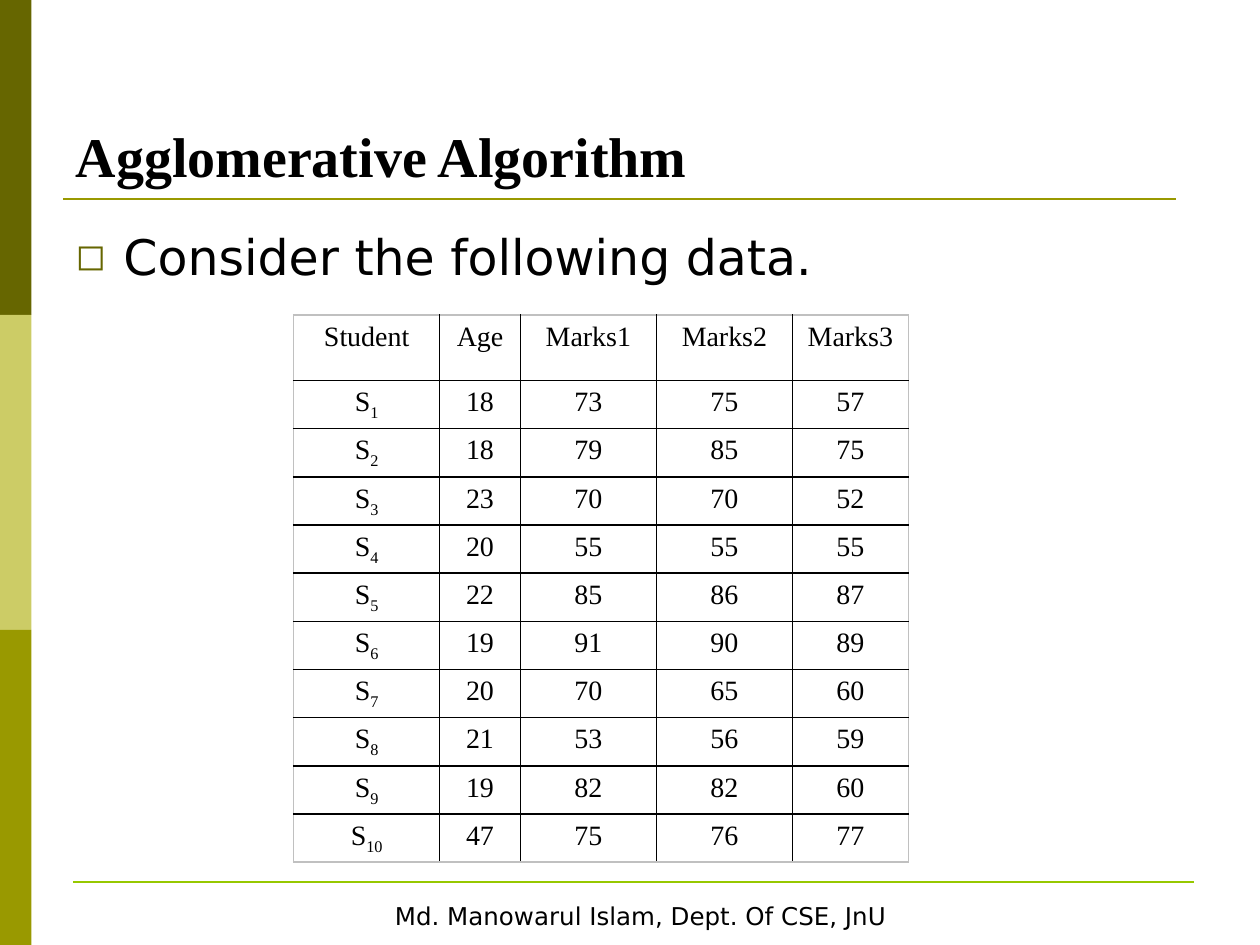
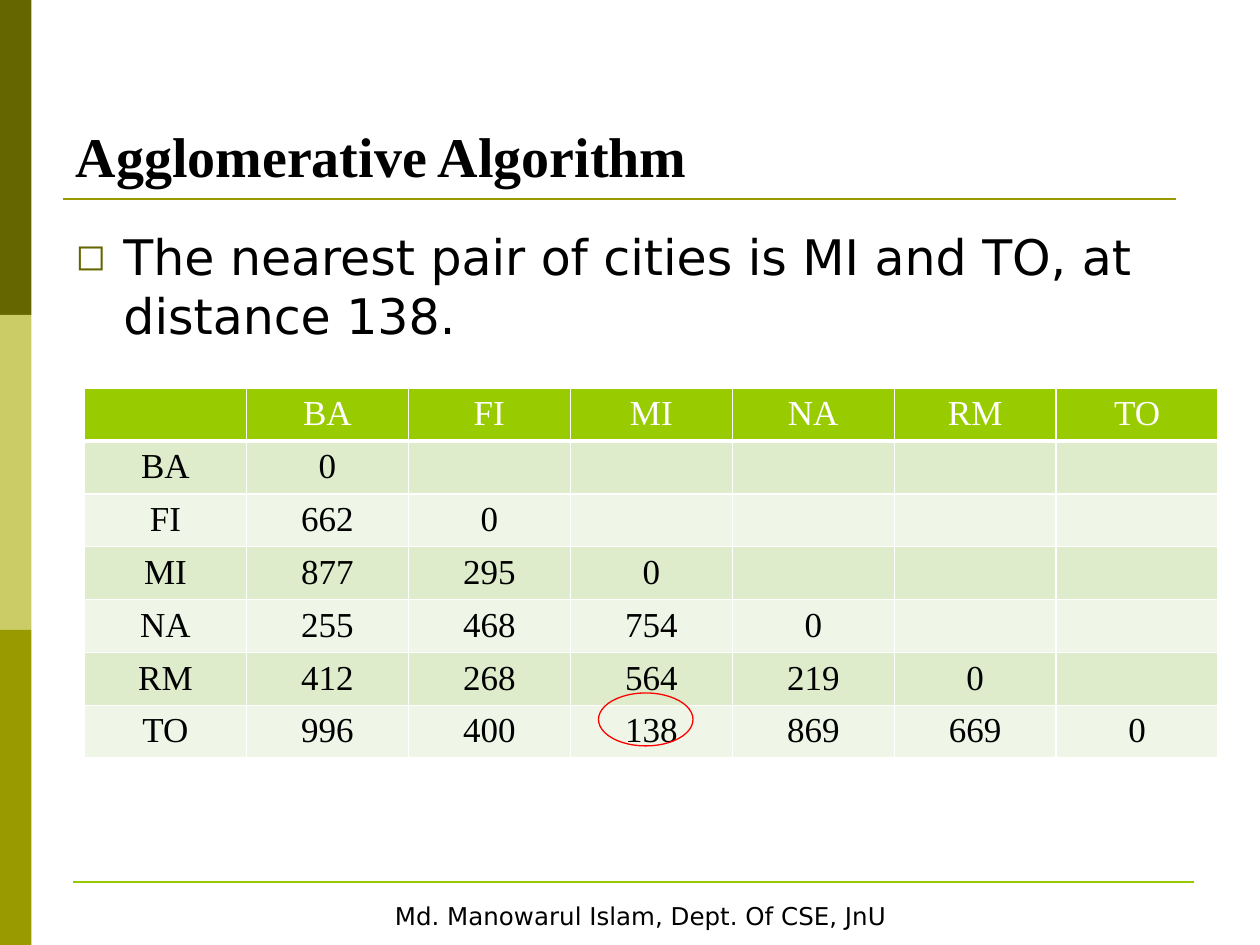
from dataclasses import dataclass

from lxml import etree
from pptx import Presentation
from pptx.dml.color import RGBColor
from pptx.enum import shapes, text
from pptx.oxml import ns
from pptx.util import Inches, Pt


@dataclass(frozen=True)
class Theme:
    serif: str = "Times New Roman"
    sans: str = "DejaVu Sans"
    ink: str = "000000"
    paper: str = "FFFFFF"
    bands: tuple = ("666600", "CCCC66", "999900")
    title_rule: str = "999900"
    footer_rule: str = "96C800"
    edge: str = "C0C0C0"
    header: str = "99CC00"
    stripes: tuple = ("DEECCC", "EFF6E7")
    mark: str = "FF0000"
    title_size: int = 32
    body_size: int = 28
    matrix_size: int = 20
    marks_size: int = 16
    footer_size: int = 14


T = Theme()
FOOTER = "Md. Manowarul Islam, Dept. Of CSE, JnU"
TITLE = "Agglomerative Algorithm"

MARKS_HEAD = ["Student", "Age", "Marks1", "Marks2", "Marks3"]
MARKS = [
    (18, 73, 75, 57),
    (18, 79, 85, 75),
    (23, 70, 70, 52),
    (20, 55, 55, 55),
    (22, 85, 86, 87),
    (19, 91, 90, 89),
    (20, 70, 65, 60),
    (21, 53, 56, 59),
    (19, 82, 82, 60),
    (47, 75, 76, 77),
]
CITIES = ["BA", "FI", "MI", "NA", "RM", "TO"]
DISTANCES = [
    [0],
    [662, 0],
    [877, 295, 0],
    [255, 468, 754, 0],
    [412, 268, 564, 219, 0],
    [996, 400, 138, 869, 669, 0],
]


def rgb(value):
    return RGBColor.from_string(value)


def box(*lengths):
    return [Inches(n) for n in lengths]


def set_all(target, values):
    for name, value in values.items():
        setattr(target, name, value)


def add_run(p, words, font, size, color=T.ink, bold=False):
    r = p.add_run()
    r.text = words
    set_all(r.font, {"name": font, "size": Pt(size), "bold": bold})
    r.font.color.rgb = rgb(color)
    return r


def add_child(parent, tag, **attrs):
    return etree.SubElement(parent, ns.qn(tag), attrs)


def add_preset(s, kind, at, fill=None, line=None, width=1):
    sp = s.shapes.add_shape(kind, *box(*at))
    sp.shadow.inherit = False
    if fill:
        sp.fill.solid()
        sp.fill.fore_color.rgb = rgb(fill)
    else:
        sp.fill.background()
    if line:
        sp.line.color.rgb = rgb(line)
        sp.line.width = Pt(width)
    else:
        sp.line.fill.background()
    return sp


def add_rule(s, left, right, y, color):
    rule = s.shapes.add_connector(shapes.MSO_CONNECTOR.STRAIGHT, *box(left, y, right, y))
    rule.line.color.rgb = rgb(color)
    rule.line.width = Pt(1.5)
    add_child(rule._element.spPr, "a:effectLst")
    return rule


def add_footer(s):
    sp = add_preset(s, shapes.MSO_SHAPE.RECTANGLE, (0.5, 7.1, 9.17, 0.35), T.paper, T.paper, 2)
    tf = sp.text_frame
    set_all(tf, {"word_wrap": False, "vertical_anchor": text.MSO_ANCHOR.TOP})
    p = tf.paragraphs[0]
    p.alignment = text.PP_ALIGN.CENTER
    add_run(p, FOOTER, T.sans, T.footer_size)
    return sp


def decorate_master(prs, s):
    """Draw the shared frame on a slide, then move it to the master."""
    frame = [
        add_preset(s, shapes.MSO_SHAPE.RECTANGLE, (0, 2.5 * i, 0.25, 2.5), color)
        for i, color in enumerate(T.bands)
    ]
    frame += [
        add_rule(s, 0.5, 9.33, 1.58, T.title_rule),
        add_rule(s, 0.58, 9.48, 7, T.footer_rule),
        add_footer(s),
    ]
    for number, sp in enumerate(frame, 100):
        sp._element.xpath(".//p:cNvPr")[0].set("id", str(number))
        prs.slide_master.shapes.element.append(sp._element)


def place(sp, at):
    set_all(sp, dict(zip(("left", "top", "width", "height"), box(*at))))


def add_slide(prs, point, body_height):
    s = prs.slides.add_slide(prs.slide_layouts[1])
    title, body = s.shapes.title, s.placeholders[1]
    place(title, (0.5, 0.3, 9, 1.25))
    place(body, (0.5, 1.75, 9, body_height))
    for sp, anchor in ((title, text.MSO_ANCHOR.BOTTOM), (body, text.MSO_ANCHOR.TOP)):
        set_all(sp.text_frame, {
            "word_wrap": True,
            "auto_size": text.MSO_AUTO_SIZE.NONE,
            "vertical_anchor": anchor,
        })
    p = title.text_frame.paragraphs[0]
    p.alignment = text.PP_ALIGN.LEFT
    add_run(p, TITLE, T.serif, T.title_size, bold=True)

    p = body.text_frame.paragraphs[0]
    p.space_before = Pt(0)
    add_bullet(p)
    add_run(p, point, T.sans, T.body_size)
    return s


def add_bullet(p):
    pPr = p._p.get_or_add_pPr()
    indent = Inches(0.38)
    pPr.set("marL", str(indent))
    pPr.set("indent", str(-indent))
    add_child(add_child(pPr, "a:buClr"), "a:srgbClr", val=T.bands[0])
    add_child(pPr, "a:buSzPct", val="75000")
    add_child(pPr, "a:buFont", typeface=T.sans)
    add_child(pPr, "a:buChar", char="◻")


def set_borders(cell, sides):
    """Take (colour, points) for each of the sides L, R, T and B."""
    tcPr = cell._tc.get_or_add_tcPr()
    for side in "LRTB":
        color, points = sides[side]
        ln = add_child(tcPr, f"a:ln{side}", w=str(Pt(points)))
        add_child(add_child(ln, "a:solidFill"), "a:srgbClr", val=color)


def add_grid(s, left, top, widths, heights):
    """Add a table without the banded style."""
    frame = s.shapes.add_table(len(heights), len(widths),
                               *box(left, top, sum(widths), sum(heights)))
    table = frame.table
    set_all(table, {"first_row": False, "horz_banding": False})
    for column, width in zip(table.columns, widths):
        column.width = Inches(width)
    for row, height in zip(table.rows, heights):
        row.height = Inches(height)
    return table


def fill_cell(cell, words, size, color=T.ink, subscript=""):
    set_all(cell, dict(zip(("margin_left", "margin_top", "margin_right", "margin_bottom"),
                           box(0.1, 0.05, 0.1, 0.05))))
    if not words:
        return
    p = cell.text_frame.paragraphs[0]
    p.alignment = text.PP_ALIGN.CENTER
    add_run(p, words, T.serif, size, color)
    if subscript:
        r = add_run(p, subscript, T.serif, size, color)
        r._r.get_or_add_rPr().set("baseline", "-25000")


def add_marks_table(s):
    widths = [1.16, 0.64, 1.08, 1.08, 0.92]
    heights = [0.52] + [0.38] * len(MARKS)
    table = add_grid(s, 2.33, 2.5, widths, heights)
    rows = [MARKS_HEAD] + [("S", *values) for values in MARKS]
    last_row, last_column = len(rows) - 1, len(widths) - 1
    for i, row in enumerate(rows):
        for j, value in enumerate(row):
            cell = table.cell(i, j)
            outer = {"L": j == 0, "R": j == last_column, "T": i == 0, "B": i == last_row}
            set_borders(cell, {k: (T.edge if edge else T.ink, 1) for k, edge in outer.items()})
            cell.fill.background()
            fill_cell(cell, str(value), T.marks_size, subscript=str(i) if i and not j else "")


def add_distance_table(s):
    count = len(CITIES) + 1
    table = add_grid(s, 0.67, 3.08, [9 / count] * count, [0.42] * count)
    rows = [["", *CITIES]] + [[city, *values] for city, values in zip(CITIES, DISTANCES)]
    for i, row in enumerate(rows):
        for j in range(count):
            cell = table.cell(i, j)
            borders = dict.fromkeys("LRTB", (T.paper, 1))
            if i == 0:
                borders["B"] = (T.paper, 3)
            set_borders(cell, borders)
            cell.fill.solid()
            cell.fill.fore_color.rgb = rgb(T.stripes[(i - 1) % 2] if i else T.header)
            words = str(row[j]) if j < len(row) else ""
            fill_cell(cell, words, T.matrix_size, T.ink if i else T.paper)


def main():
    prs = Presentation()
    set_all(prs, {"slide_width": Inches(10), "slide_height": Inches(7.5)})

    s = add_slide(prs, "Consider the following data.", 0.75)
    decorate_master(prs, s)
    add_marks_table(s)

    s = add_slide(prs, "The nearest pair of cities is MI and TO, at distance 138.", 4.95)
    add_distance_table(s)
    add_preset(s, shapes.MSO_SHAPE.OVAL, (4.75, 5.5, 0.75, 0.42), line=T.mark, width=0.75)

    prs.save("out.pptx")


if __name__ == "__main__":
    main()
